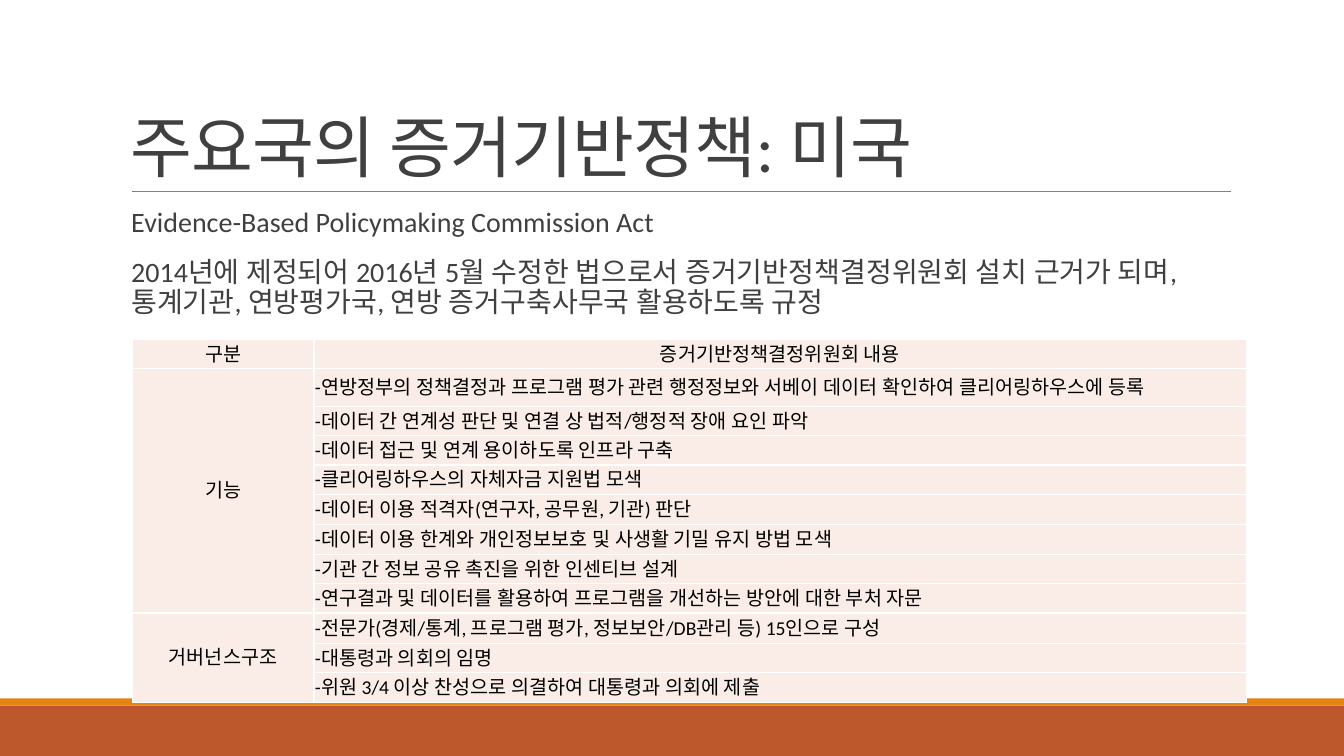
from lxml.etree import SubElement
from pptx import Presentation
from pptx.dml.color import RGBColor
from pptx.enum.lang import MSO_LANGUAGE_ID
from pptx.enum.shapes import MSO_CONNECTOR, MSO_SHAPE
from pptx.enum.text import MSO_ANCHOR, PP_ALIGN
from pptx.oxml.ns import qn
from pptx.util import Pt

PX = 9525  # EMU per px, 96 px to the inch
COLORS = {"band": "BD582C", "accent": "E48312", "rule": "808080",
          "text": "404040", "cell_text": "000000", "cell": "FAEDE7", "border": "FFFFFF"}

TITLE = "주요국의 증거기반정책: 미국"
BODY = [
    "Evidence-Based Policymaking Commission Act",
    "2014년에 제정되어 2016년 5월 수정한 법으로서 증거기반정책결정위원회 설치 근거가 되며, "
    "통계기관, 연방평가국, 연방 증거구축사무국 활용하도록 규정",
]
HEADER = ("구분", "증거기반정책결정위원회 내용")
GROUPS = {
    "기능": [
        "-연방정부의 정책결정과 프로그램 평가 관련 행정정보와 서베이 데이터 확인하여 클리어링하우스에 등록",
        "-데이터 간 연계성 판단 및 연결 상 법적/행정적 장애 요인 파악",
        "-데이터 접근 및 연계 용이하도록 인프라 구축",
        "-클리어링하우스의 자체자금 지원법 모색",
        "-데이터 이용 적격자(연구자, 공무원, 기관) 판단",
        "-데이터 이용 한계와 개인정보보호 및 사생활 기밀 유지 방법 모색",
        "-기관 간 정보 공유 촉진을 위한 인센티브 설계",
        "-연구결과 및 데이터를 활용하여 프로그램을 개선하는 방안에 대한 부처 자문",
    ],
    "거버넌스구조": [
        "-전문가(경제/통계, 프로그램 평가, 정보보안/DB관리 등) 15인으로 구성",
        "-대통령과 의회의 임명",
        "-위원 3/4 이상 찬성으로 의결하여 대통령과 의회에 제출",
    ],
}
ROW_HEIGHTS = [28, 36] + [28, 28, 28, 29] * 2 + [28, 28]


def rgb(name):
    return RGBColor.from_string(COLORS[name])


def apply(target, **values):
    for name, value in values.items():
        setattr(target, name, value)


class SlideBuilder:
    font = "Calibri"

    def __init__(self, slide):
        self.s = slide

    def band(self, x, y, w, h, color):
        sp = self.s.shapes.add_shape(MSO_SHAPE.RECTANGLE, *(v * PX for v in (x, y, w, h)))
        sp.shadow.inherit = False
        sp.fill.solid()
        sp.fill.fore_color.rgb = rgb(color)
        sp.line.fill.background()

    def rule(self, x1, x2, y):
        line = self.s.shapes.add_connector(
            MSO_CONNECTOR.STRAIGHT, *(v * PX for v in (x1, y, x2, y)))
        line.line.color.rgb = rgb("rule")
        line.line.width = Pt(0.5)
        SubElement(line._element.spPr, qn("a:effectLst"))

    def run(self, p, text, size, color):
        r = p.add_run()
        r.text = text
        apply(r.font, name=self.font, size=Pt(size), language_id=MSO_LANGUAGE_ID.KOREAN)
        r.font.color.rgb = rgb(color)
        SubElement(r._r.get_or_add_rPr(), qn("a:ea"), typeface=self.font)
        return r

    def frame(self, x, y, w, h, **values):
        tf = self.s.shapes.add_textbox(*(v * PX for v in (x, y, w, h))).text_frame
        apply(tf, word_wrap=True, **values)
        return tf

    def title(self, x, y, w, h, text):
        p = self.frame(x, y, w, h, vertical_anchor=MSO_ANCHOR.BOTTOM).paragraphs[0]
        p.line_spacing = 0.85
        self.run(p, text, 48, "text")._r.get_or_add_rPr().set("spc", "-50")

    def body(self, x, y, w, h, lines):
        tf = self.frame(x, y, w, h, margin_left=0, margin_right=0)
        for i, text in enumerate(lines):
            p = tf.add_paragraph() if i else tf.paragraphs[0]
            self.blank_bullet(p)
            apply(p, line_spacing=0.9, space_before=Pt(12 if i else 0), space_after=Pt(2))
            self.run(p, text, 20, "text")

    def blank_bullet(self, p):
        """Hang the paragraph on a bullet that is a single space."""
        pPr = p._p.get_or_add_pPr()
        pPr.set("marL", str(10 * PX))
        pPr.set("indent", str(-10 * PX))
        SubElement(SubElement(pPr, qn("a:buClr")), qn("a:srgbClr"), val=COLORS["accent"])
        SubElement(pPr, qn("a:buFont"), typeface=self.font)
        SubElement(pPr, qn("a:buChar"), char=" ")

    def cell(self, cell, text, align):
        tcPr = cell._tc.get_or_add_tcPr()
        for side in ("lnL", "lnR", "lnT", "lnB"):
            ln = SubElement(tcPr, qn(f"a:{side}"), w=str(Pt(1)))
            SubElement(SubElement(ln, qn("a:solidFill")), qn("a:srgbClr"), val=COLORS["border"])
        apply(cell, margin_left=PX, margin_right=PX, margin_top=PX, margin_bottom=0,
              vertical_anchor=MSO_ANCHOR.MIDDLE)
        cell.fill.solid()
        cell.fill.fore_color.rgb = rgb("cell")
        p = cell.text_frame.paragraphs[0]
        p.alignment = align
        if text:
            self.run(p, text, 14, "cell_text")

    def table(self, x, y, widths, heights, header, groups):
        table = self.s.shapes.add_table(
            len(heights), len(widths),
            *(v * PX for v in (x, y, sum(widths), sum(heights)))).table
        apply(table, first_row=False, horz_banding=False)
        for column, width in zip(table.columns, widths):
            column.width = width * PX
        for row, height in zip(table.rows, heights):
            row.height = height * PX
        for col, text in enumerate(header):
            self.cell(table.cell(0, col), text, PP_ALIGN.CENTER)
        top = 1
        for name, items in groups.items():
            for i, item in enumerate(items):
                self.cell(table.cell(top + i, 0), "" if i else name, PP_ALIGN.CENTER)
                self.cell(table.cell(top + i, 1), item, PP_ALIGN.JUSTIFY)
            table.cell(top, 0).merge(table.cell(top + len(items) - 1, 0))
            top += len(items)


def main():
    prs = Presentation()
    apply(prs, slide_width=1280 * PX, slide_height=720 * PX)
    slide = SlideBuilder(prs.slides.add_slide(prs.slide_layouts[6]))
    slide.band(0, 672, 1280, 48, "band")
    slide.band(0, 665, 1280, 7, "accent")
    slide.rule(126, 1172, 182)
    slide.title(115, 30, 1056, 152, TITLE)
    slide.body(115, 194, 1056, 422, BODY)
    slide.table(126, 323, [173, 888], ROW_HEIGHTS, HEADER, GROUPS)
    prs.save("out.pptx")


if __name__ == "__main__":
    main()
